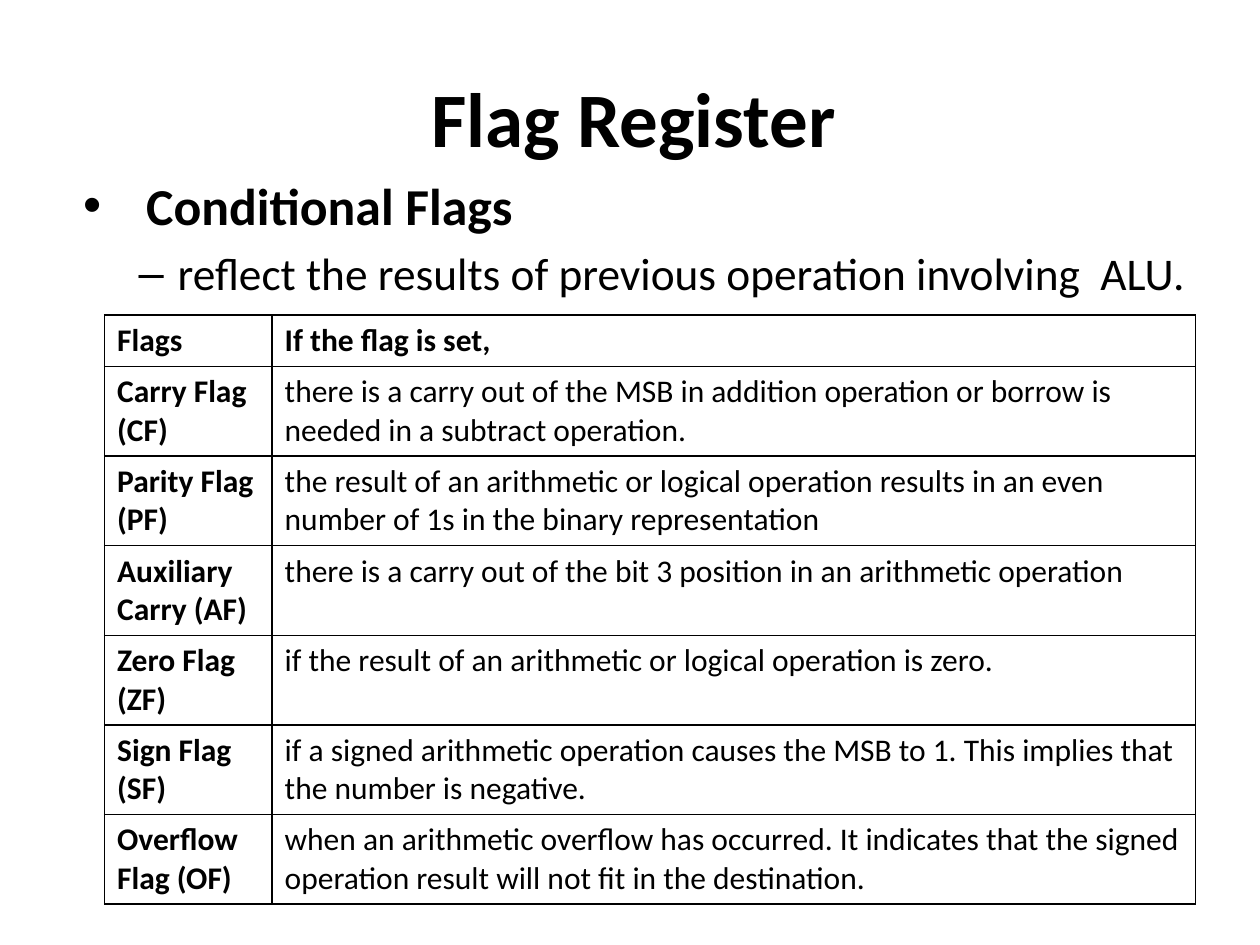
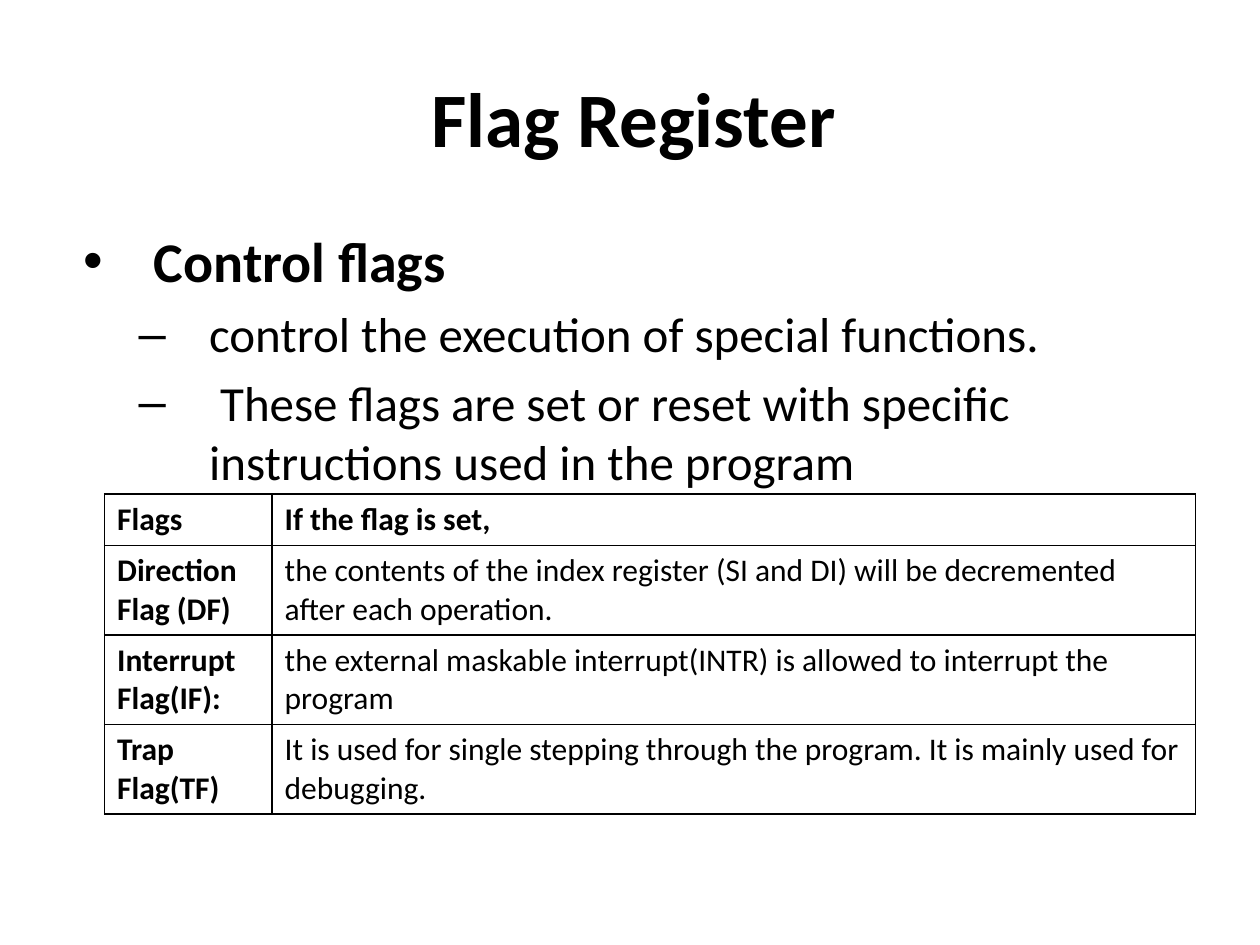
"""Build two slides on the conditional and control flags of the flag register."""
import lxml.etree
import pptx
import pptx.dml.color
import pptx.enum.text
import pptx.oxml.ns
import pptx.util

TITLE = "Flag Register"
HEAD = ("Flags", "If the flag is set,")
SLIDES = [
    {
        "body": (50, 133, 917, 133),
        "list": [
            (0, "Conditional Flags", 29.6, 56, -50),
            (1, "reflect the results of previous operation involving  ALU.", 25.9, 81, -31),
        ],
        "top": 250,
        "flags": [
            ("Carry Flag (CF)", "there is a carry out of the MSB in addition operation or borrow is needed in a subtract operation."),
            ("Parity Flag (PF)", "the result of an arithmetic or logical operation results in an even number of 1s in the binary representation"),
            ("Auxiliary Carry (AF)", "there is a carry out of the bit 3 position in an arithmetic operation"),
            ("Zero Flag (ZF)", "if the result of an arithmetic or logical operation is zero."),
            ("Sign Flag (SF)", "if a signed arithmetic operation causes the MSB to 1. This implies that the number is negative."),
            ("Overflow Flag (OF)", "when an arithmetic overflow has occurred. It indicates that the signed operation result will not fit in the destination."),
        ],
    },
    {
        "body": (50, 175, 900, 217),
        "list": [
            (0, "Control flags", 32, 62, -56),
            (1, "control the execution of special functions.", 28, 106, -56),
            (1, " These flags are set or reset with specific instructions used in the program", 28, 106, -56),
        ],
        "top": 392,
        "flags": [
            ("Direction Flag (DF)", "the contents of the index register (SI and DI) will be decremented after each operation."),
            ("Interrupt Flag(IF):", "the external maskable interrupt(INTR) is allowed to interrupt the program"),
            ("Trap Flag(TF)", "It is used for single stepping through the program. It is mainly used for debugging."),
        ],
    },
]
FONT, INK, PAPER = "Calibri", "000000", "FFFFFF"
LEFT, COLS = 83, (133, 733)
HEAD_H, ROW_H = 41, 71
TITLE_BOX = (50, 30, 900, 125)


def px(num):
    return pptx.util.Emu(num * 9144)


def tint(code):
    return pptx.dml.color.RGBColor.from_string(code)


def place(shape, box):
    shape.left, shape.top, shape.width, shape.height = map(px, box)
    shape.text_frame.auto_size = pptx.enum.text.MSO_AUTO_SIZE.NONE


def write(para, text, size, bold):
    run = para.add_run()
    run.text = text
    run.font.name, run.font.size, run.font.bold = FONT, pptx.util.Pt(size), bold
    run.font.color.rgb = tint(INK)


def indent(para, left, first):
    props = para._p.get_or_add_pPr()
    props.set("marL", str(px(left)))
    props.set("indent", str(px(first)))


def border(cell):
    props = cell._tc.get_or_add_tcPr()
    name = pptx.oxml.ns.qn
    for side in ("a:lnL", "a:lnR", "a:lnT", "a:lnB"):
        line = lxml.etree.SubElement(props, name(side), w=str(pptx.util.Pt(1)))
        fill = lxml.etree.SubElement(line, name("a:solidFill"))
        lxml.etree.SubElement(fill, name("a:srgbClr"), val=INK)


def add_title(slide):
    place(slide.shapes.title, TITLE_BOX)
    para = slide.shapes.title.text_frame.paragraphs[0]
    para.alignment = pptx.enum.text.PP_ALIGN.CENTER
    indent(para, 62, -56)
    write(para, TITLE, 44, True)


def add_list(slide, box, items):
    body = slide.placeholders[1]
    place(body, box)
    frame = body.text_frame
    for num, (level, text, size, left, first) in enumerate(items):
        para = frame.add_paragraph() if num else frame.paragraphs[0]
        para.level = level
        indent(para, left, first)
        write(para, text, size, level == 0)


def add_flags(slide, top, flags):
    rows = [HEAD, *flags]
    high = HEAD_H + ROW_H * len(flags)
    frame = slide.shapes.add_table(len(rows), len(COLS), px(LEFT), px(top), px(sum(COLS)), px(high))
    table = frame.table
    table.first_row = table.horz_banding = False
    for col, wide in zip(table.columns, COLS):
        col.width = px(wide)
    for r, row in enumerate(rows):
        table.rows[r].height = px(ROW_H if r else HEAD_H)
        for c, text in enumerate(row):
            cell = table.cell(r, c)
            border(cell)
            cell.fill.solid()
            cell.fill.fore_color.rgb = tint(PAPER)
            write(cell.text_frame.paragraphs[0], text, 18, r == 0 or c == 0)


def main():
    deck = pptx.Presentation()
    deck.slide_width, deck.slide_height = px(1000), px(750)
    for page in SLIDES:
        slide = deck.slides.add_slide(deck.slide_layouts[1])
        add_title(slide)
        add_list(slide, page["body"], page["list"])
        add_flags(slide, page["top"], page["flags"])
    deck.save("out.pptx")


if __name__ == "__main__":
    main()
